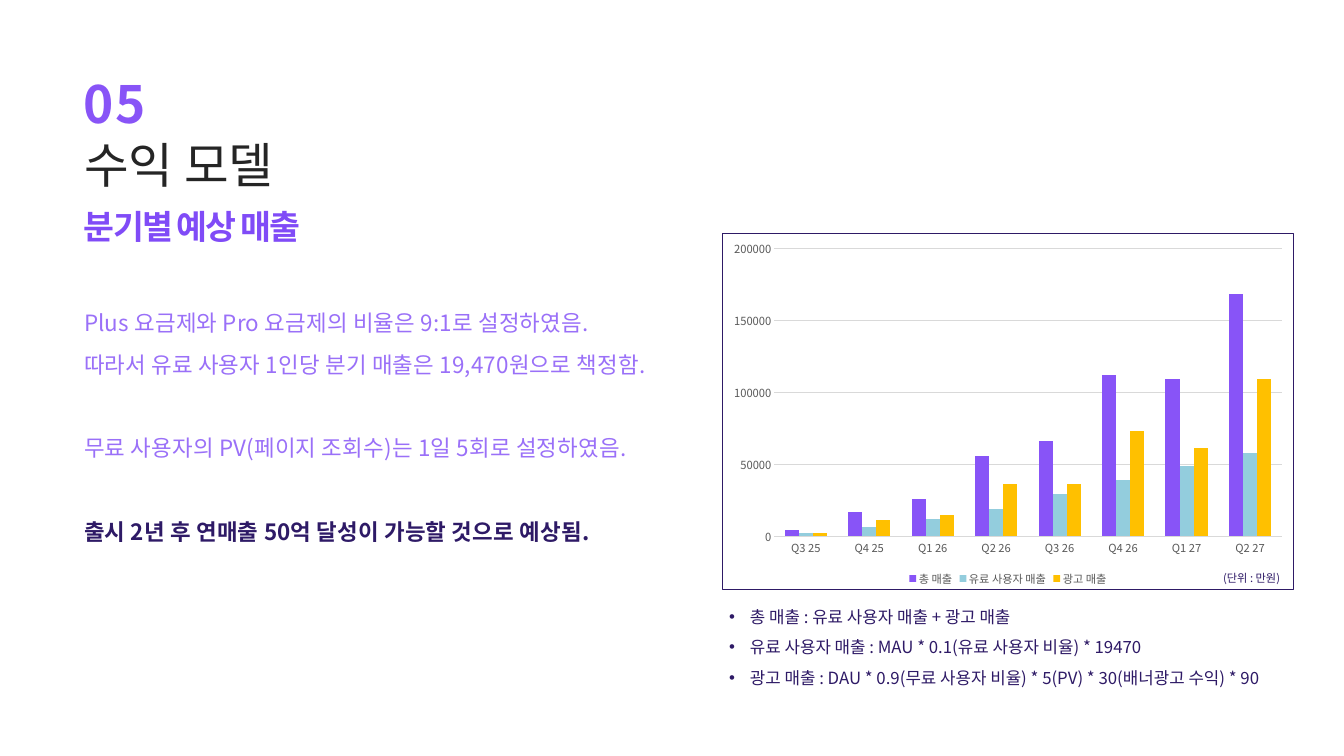
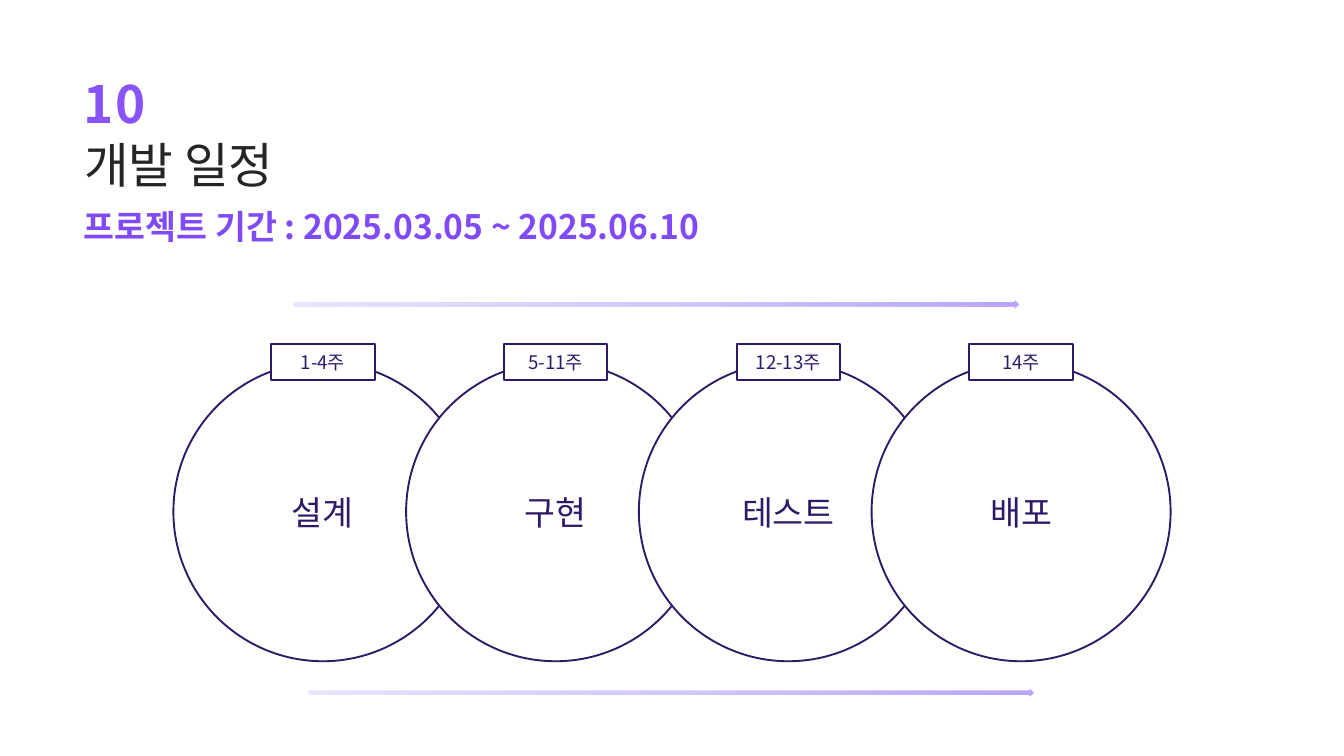
"""Builds the revenue model slide and the development schedule slide."""
from lxml.etree import SubElement
from pptx import Presentation
from pptx.chart.data import CategoryChartData
from pptx.dml.color import RGBColor
from pptx.enum.chart import XL_CHART_TYPE, XL_LEGEND_POSITION, XL_TICK_MARK
from pptx.enum.shapes import MSO_SHAPE
from pptx.enum.text import MSO_ANCHOR, MSO_AUTO_SIZE, PP_ALIGN
from pptx.oxml import parse_xml
from pptx.oxml.ns import nsdecls, qn
from pptx.util import Inches, Pt

FONT = "Noto Sans CJK KR"
VIOLET = RGBColor(0x88, 0x54, 0xF7)
HEADING_VIOLET = RGBColor(0x80, 0x4B, 0xF7)
SOFT_VIOLET = RGBColor(0x9A, 0x70, 0xF8)
NAVY = RGBColor(0x2E, 0x1A, 0x66)
INK = RGBColor(0x25, 0x25, 0x25)
AXIS_GRAY = RGBColor(0x59, 0x59, 0x59)
GRID_GRAY = RGBColor(0xD9, 0xD9, 0xD9)
SKY = RGBColor(0x93, 0xCD, 0xDD)
AMBER = RGBColor(0xFF, 0xC0, 0x00)
WHITE = RGBColor(0xFF, 0xFF, 0xFF)
ARROW_STOPS = (
    (0, RGBColor(0xB9, 0xA4, 0xFF)),
    (50, RGBColor(0xD3, 0xC7, 0xFF)),
    (100, RGBColor(0xE9, 0xE3, 0xFF)),
)
TITLE_ONLY, TITLE_AND_BODY = 5, 1
LEFT = 1.25


class Deck:
    def __init__(self):
        self.prs = Presentation()
        self.prs.slide_width = Inches(20)
        self.prs.slide_height = Inches(11.25)
        self.slide = None

    def place(self, shape, left, top, width, height):
        shape.left, shape.top = Inches(left), Inches(top)
        shape.width, shape.height = Inches(width), Inches(height)

    def frame(self, shape, inset=True):
        frame = shape.text_frame
        frame.word_wrap = True
        frame.auto_size = MSO_AUTO_SIZE.NONE
        frame.vertical_anchor = MSO_ANCHOR.TOP
        if not inset:
            frame.margin_left = frame.margin_right = 0
            frame.margin_top = frame.margin_bottom = 0
        return frame

    def fill_line(self, paragraph, text, size, color, bold=False, spacing=0,
                  leading=None, before=0, align=PP_ALIGN.LEFT):
        paragraph.alignment = align
        paragraph.space_before = Pt(before)
        if leading:
            paragraph.line_spacing = leading
        run = paragraph.add_run()
        run.text = text
        font = run.font
        font.size, font.bold, font.name = Pt(size), bold, FONT
        font.color.rgb = color
        properties = run._r.get_or_add_rPr()
        SubElement(properties, qn("a:ea")).set("typeface", FONT)
        if spacing:
            properties.set("spc", str(round(spacing * 100)))

    def text(self, box, text, size, color, inset=False, **style):
        label = self.slide.shapes.add_textbox(*map(Inches, box))
        frame = self.frame(label, inset)
        self.fill_line(frame.paragraphs[0], text, size, color, **style)
        return frame

    def start(self, layout, number, title, subtitle, subtitle_spacing=0):
        self.slide = self.prs.slides.add_slide(self.prs.slide_layouts[layout])
        self.text((LEFT, 0.46, 1.53, 1.39), number, 55, VIOLET, bold=True,
                  spacing=1.3, leading=Pt(110))
        heading = self.slide.shapes.title
        self.place(heading, LEFT, 1.43, 5.8, 1.31)
        self.fill_line(self.frame(heading, False).paragraphs[0], title, 52, INK,
                       leading=Pt(104))
        self.text((LEFT, 3.22, 11, 0.49), subtitle, 36, HEADING_VIOLET, bold=True,
                  spacing=subtitle_spacing, leading=Pt(32.1))

    def bullets(self, box, lines):
        body = self.slide.placeholders[1]
        self.place(body, *box)
        frame = self.frame(body)
        for index, line in enumerate(lines):
            paragraph = frame.add_paragraph() if index else frame.paragraphs[0]
            properties = paragraph._p.get_or_add_pPr()
            properties.set("marL", str(Inches(0.31)))
            properties.set("indent", str(Inches(-0.31)))
            SubElement(properties, qn("a:buChar")).set("char", "•")
            self.fill_line(paragraph, line, 18, NAVY, leading=1.5)

    def column_chart(self, box, categories, series, maximum, step):
        data = CategoryChartData()
        data.categories = categories
        for name, values, _ in series:
            data.add_series(name, values)
        chart = self.slide.shapes.add_chart(
            XL_CHART_TYPE.COLUMN_CLUSTERED, *map(Inches, box), data).chart
        chart.has_title = False
        self.chart_font(chart.font)
        border = parse_xml(
            f'<c:spPr {nsdecls("c", "a")}><a:noFill/><a:ln w="{Pt(0.75)}"><a:solidFill>'
            f'<a:srgbClr val="{NAVY}"/></a:solidFill></a:ln></c:spPr>')
        chart.element.find(qn("c:txPr")).addprevious(border)
        chart.has_legend = True
        chart.legend.position = XL_LEGEND_POSITION.BOTTOM
        chart.legend.include_in_layout = False
        self.chart_font(chart.legend.font)
        for axis in (chart.category_axis, chart.value_axis):
            axis.major_tick_mark = axis.minor_tick_mark = XL_TICK_MARK.NONE
            axis.format.line.fill.background()
            self.chart_font(axis.tick_labels.font)
        values_axis = chart.value_axis
        values_axis.minimum_scale, values_axis.maximum_scale = 0, maximum
        values_axis.major_unit = step
        grid = values_axis.major_gridlines.format.line
        grid.color.rgb, grid.width = GRID_GRAY, Pt(0.75)
        plot = chart.plots[0]
        plot.gap_width, plot.overlap, plot.vary_by_categories = 150, 0, False
        for column, (_, _, color) in zip(plot.series, series):
            column.format.fill.solid()
            column.format.fill.fore_color.rgb = color

    def chart_font(self, font):
        font.name, font.size = FONT, Pt(12)
        font.color.rgb = AXIS_GRAY

    def outlined(self, kind, box, text, size, fill=WHITE):
        shape = self.slide.shapes.add_shape(kind, *map(Inches, box))
        shape.shadow.inherit = False
        if fill is None:
            shape.fill.background()
        else:
            shape.fill.solid()
            shape.fill.fore_color.rgb = fill
        shape.line.color.rgb, shape.line.width = NAVY, Pt(2)
        frame = self.frame(shape)
        frame.vertical_anchor = MSO_ANCHOR.MIDDLE
        self.fill_line(frame.paragraphs[0], text, size, NAVY, align=PP_ALIGN.CENTER)

    def gradient_arrow(self, box):
        arrow = self.slide.shapes.add_shape(MSO_SHAPE.RIGHT_ARROW, *map(Inches, box))
        arrow.shadow.inherit = False
        arrow.line.color.rgb, arrow.line.width = WHITE, Pt(2)
        stops = "".join(f'<a:gs pos="{at * 1000}"><a:srgbClr val="{color}"/></a:gs>'
                        for at, color in ARROW_STOPS)
        gradient = parse_xml(
            f'<a:gradFill {nsdecls("a")} rotWithShape="1"><a:gsLst>{stops}</a:gsLst>'
            '<a:path path="circle"><a:fillToRect l="100000" b="100000"/></a:path>'
            '</a:gradFill>')
        arrow._element.spPr.find(qn("a:prstGeom")).addnext(gradient)


def revenue_slide(deck):
    deck.start(TITLE_AND_BODY, "05", "수익 모델", "분기별 예상 매출", -2)
    line_height = 44.7
    assumptions = [
        ("따라서 유료 사용자 1인당 분기 매출은 19,470원으로 책정함.", SOFT_VIOLET, False, 0),
        ("무료 사용자의 PV(페이지 조회수)는 1일 5회로 설정하였음.", SOFT_VIOLET, False,
         line_height),
        ("출시 2년 후 연매출 50억 달성이 가능할 것으로 예상됨.", NAVY, True, line_height),
    ]
    frame = deck.text((LEFT, 4.38, 11.08, 4.36),
                      "Plus 요금제와 Pro 요금제의 비율은 9:1로 설정하였음.", 24,
                      SOFT_VIOLET, spacing=0.2, leading=Pt(line_height))
    for line, color, bold, before in assumptions:
        deck.fill_line(frame.add_paragraph(), line, 24, color, bold=bold, spacing=0.2,
                       leading=Pt(line_height), before=before)
    quarters = ["Q3 25", "Q4 25", "Q1 26", "Q2 26", "Q3 26", "Q4 26", "Q1 27", "Q2 27"]
    sales = [
        ("총 매출", (4000, 17000, 26000, 56000, 66000, 112000, 109000, 168000), VIOLET),
        ("유료 사용자 매출", (2000, 6000, 12000, 19000, 29000, 39000, 49000, 58000), SKY),
        ("광고 매출", (2000, 11000, 15000, 36000, 36000, 73000, 61000, 109000), AMBER),
    ]
    deck.column_chart((10.75, 3.46, 8.5, 5.32), quarters, sales, 200000, 50000)
    deck.text((18, 8.46, 1.25, 0.3), "(단위 : 만원)", 12, NAVY, inset=True,
              align=PP_ALIGN.CENTER)
    deck.bullets((10.75, 8.83, 8.5, 1.43), [
        "총 매출 : 유료 사용자 매출 + 광고 매출",
        "유료 사용자 매출 : MAU * 0.1(유료 사용자 비율) * 19470",
        "광고 매출 : DAU * 0.9(무료 사용자 비율) * 5(PV) * 30(배너광고 수익) * 90",
    ])


def schedule_slide(deck):
    deck.start(TITLE_ONLY, "10", "개발 일정", "프로젝트 기간 : 2025.03.05 ~ 2025.06.10")
    phases = [("설계", "1-4주"), ("구현", "5-11주"), ("테스트", "12-13주"), ("배포", "14주")]
    diameter, tag_width = 4.45, 1.54
    first, last = 2.58, 12.97
    pitch = (last - first) / (len(phases) - 1)
    lefts = [first + index * pitch for index in range(len(phases))]
    for left, (phase, _) in zip(lefts, phases):
        deck.outlined(MSO_SHAPE.OVAL, (left, 5.39, diameter, diameter), phase, 36,
                      fill=None if left == first else WHITE)
    for left, (_, weeks) in zip(lefts, phases):
        tag_left = left + (diameter - tag_width) / 2
        deck.outlined(MSO_SHAPE.RECTANGLE, (tag_left, 5.12, tag_width, 0.53), weeks, 20)
    for left, top in ((4.58, 10.21), (4.36, 4.43)):
        deck.gradient_arrow((left, top, 10.83, 0.2))


def main():
    deck = Deck()
    revenue_slide(deck)
    schedule_slide(deck)
    deck.prs.save("out.pptx")


if __name__ == "__main__":
    main()
